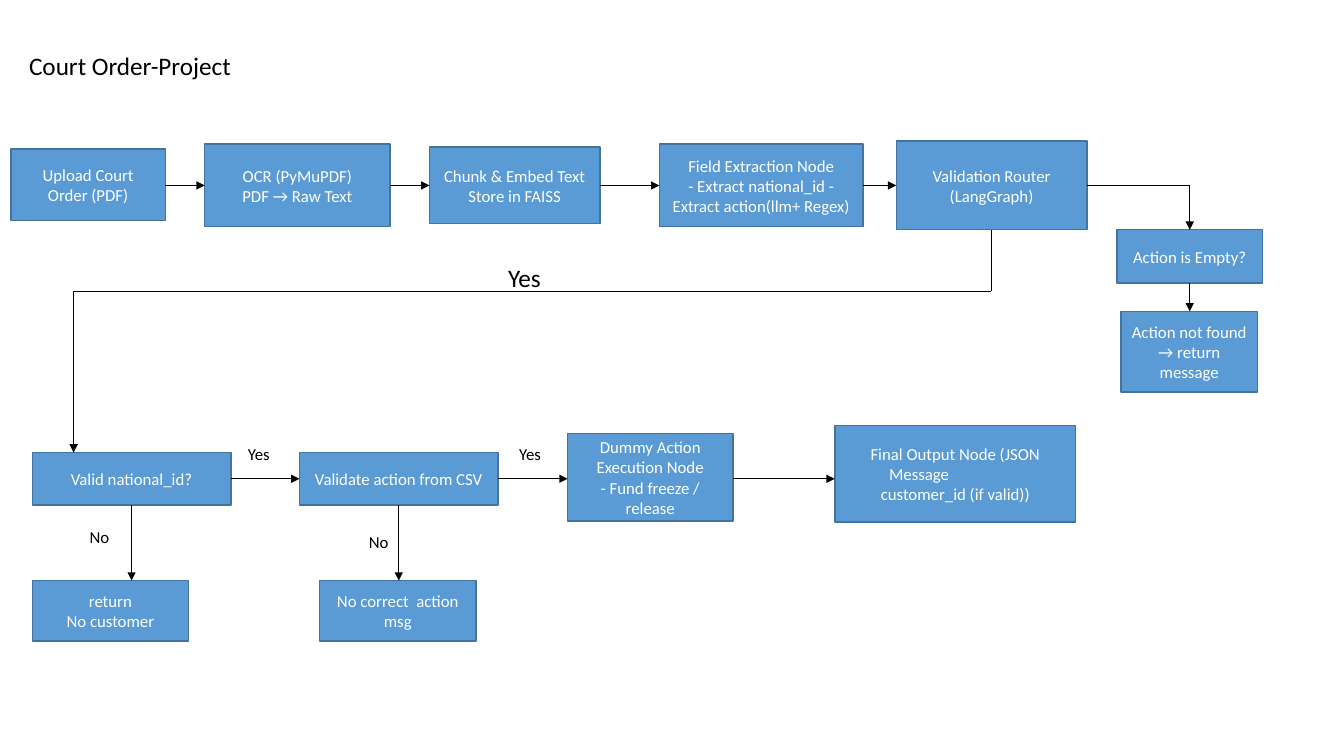
import pptx
import pptx.util
import pptx.dml.color
import pptx.enum.shapes
import pptx.enum.text
import pptx.oxml.ns
import lxml.etree

Inches, Pt = pptx.util.Inches, pptx.util.Pt
FONT, BLUE, EDGE, WHITE, BLACK = "Calibri", "5B9BD5", "43739E", "FFFFFF", "000000"

# Boxes: left, top, width, height, lines of text
BOXES = {
    "upload": (0.11, 1.48, 1.53, 0.71, ["Upload Court", "Order (PDF)"]),
    "ocr": (2.03, 1.43, 1.84, 0.82, ["OCR (PyMuPDF)", "PDF → Raw Text"]),
    "chunk": (4.26, 1.46, 1.69, 0.76, ["Chunk & Embed Text", "Store in FAISS"]),
    "field": (6.54, 1.43, 2.02, 0.82,
              ["Field Extraction Node",
               "- Extract national_id - Extract action(llm+ Regex)"]),
    "router": (8.89, 1.4, 1.89, 0.88, ["Validation Router (LangGraph)"]),
    "empty": (11.08, 2.28, 1.44, 0.53, ["Action is Empty?"]),
    "lost": (11.12, 3.09, 1.35, 0.8, ["Action not found", "→ return message"]),
    "valid": (0.32, 4.49, 1.97, 0.52, ["Valid national_id?"]),
    "action": (2.97, 4.49, 1.97, 0.52, ["Validate action from CSV"]),
    "dummy": (5.63, 4.3, 1.64, 0.87,
              ["Dummy Action Execution Node", "- Fund freeze / release"]),
    "final": (8.28, 4.22, 2.39, 0.96,
              ["Final Output Node (JSON", "Message", "customer_id (if valid))"]),
    "nobody": (0.32, 5.76, 1.55, 0.6, ["return", "No customer"]),
    "wrong": (3.17, 5.76, 1.55, 0.6, ["No correct  action msg"]),
}

# Rows run left to right at one height; drops run down from a box centre
ROWS = [
    (1.84, ["upload", "ocr", "chunk", "field", "router"]),
    (4.75, ["valid", "action", "dummy", "final"]),
]
DROPS = [("empty", "lost"), ("valid", "nobody"), ("action", "wrong")]

# Bent routes: the last leg carries the arrowhead
ROUTES = [
    [(9.83, 2.28), (9.83, 2.89), (0.73, 2.89), (0.73, 4.49)],
    [(10.78, 1.84), (11.8, 1.84), (11.8, 2.28)],
]

# Labels: text, left, top, width, height, size, wrap
LABELS = [
    ("Court Order-Project", 0.19, 0.45, 4.36, 0.4, 18, True),
    ("Yes", 4.94, 2.55, 0.61, 0.4, 18, True),
    ("Yes", 2.36, 4.35, 0.59, 0.3, 12, True),
    ("Yes", 5.05, 4.35, 0.59, 0.3, 12, True),
    ("No", 0.79, 5.18, 0.4, 0.3, 12, False),
    ("No", 3.56, 5.23, 0.4, 0.3, 12, False),
]


def color(text):
    return pptx.dml.color.RGBColor.from_string(text)


def write(frame, lines, size, tint, align):
    for i, line in enumerate(lines):
        para = frame.paragraphs[0] if i == 0 else frame.add_paragraph()
        para.text = line
        para.alignment = align
        para.font.name, para.font.size = FONT, Pt(size)
        para.font.color.rgb = color(tint)


def add_box(left, top, width, height, lines):
    box = slide.shapes.add_shape(
        pptx.enum.shapes.MSO_SHAPE.RECTANGLE,
        Inches(left), Inches(top), Inches(width), Inches(height))
    box.shadow.inherit = False
    box.fill.solid()
    box.fill.fore_color.rgb = color(BLUE)
    box.line.color.rgb = color(EDGE)
    box.line.width = Pt(1)
    frame = box.text_frame
    frame.word_wrap = True
    frame.vertical_anchor = pptx.enum.text.MSO_ANCHOR.MIDDLE
    write(frame, lines, 12, WHITE, pptx.enum.text.PP_ALIGN.CENTER)
    return box


def add_line(start, end, arrow=True):
    line = slide.shapes.add_connector(
        pptx.enum.shapes.MSO_CONNECTOR.STRAIGHT,
        *[Inches(v) for v in start + end])
    line.line.color.rgb = color(BLACK)
    line.line.width = Pt(0.5)
    qn = pptx.oxml.ns.qn
    if arrow:
        tail = lxml.etree.SubElement(line.line._get_or_add_ln(), qn("a:tailEnd"))
        tail.set("type", "triangle")
    lxml.etree.SubElement(line._element.spPr, qn("a:effectLst"))


def add_label(text, left, top, width, height, size, wrap):
    label = slide.shapes.add_textbox(
        Inches(left), Inches(top), Inches(width), Inches(height))
    label.text_frame.word_wrap = wrap
    label.text_frame.auto_size = pptx.enum.text.MSO_AUTO_SIZE.SHAPE_TO_FIT_TEXT
    write(label.text_frame, [text], size, BLACK, pptx.enum.text.PP_ALIGN.LEFT)


# Slide
deck = pptx.Presentation()
deck.slide_width, deck.slide_height = Inches(13.33), Inches(7.5)
slide = deck.slides.add_slide(deck.slide_layouts[6])

# Boxes
nodes = {name: add_box(*box) for name, box in BOXES.items()}

# The message line sits left of centre
note = nodes["final"].text_frame.paragraphs[1]
note.alignment = pptx.enum.text.PP_ALIGN.LEFT
note._p.get_or_add_pPr().set("marL", str(Inches(0.44)))

# Arrows along the rows
for y, names in ROWS:
    for a, b in zip(names, names[1:]):
        add_line((BOXES[a][0] + BOXES[a][2], y), (BOXES[b][0], y))

# Arrows down
for a, b in DROPS:
    left, top, width, height = BOXES[a][:4]
    x = left + width / 2
    add_line((x, top + height), (x, BOXES[b][1]))

# Bent routes
for route in ROUTES:
    for start, end in zip(route, route[1:]):
        add_line(start, end, end == route[-1])

# Labels
for label in LABELS:
    add_label(*label)

deck.save("out.pptx")
